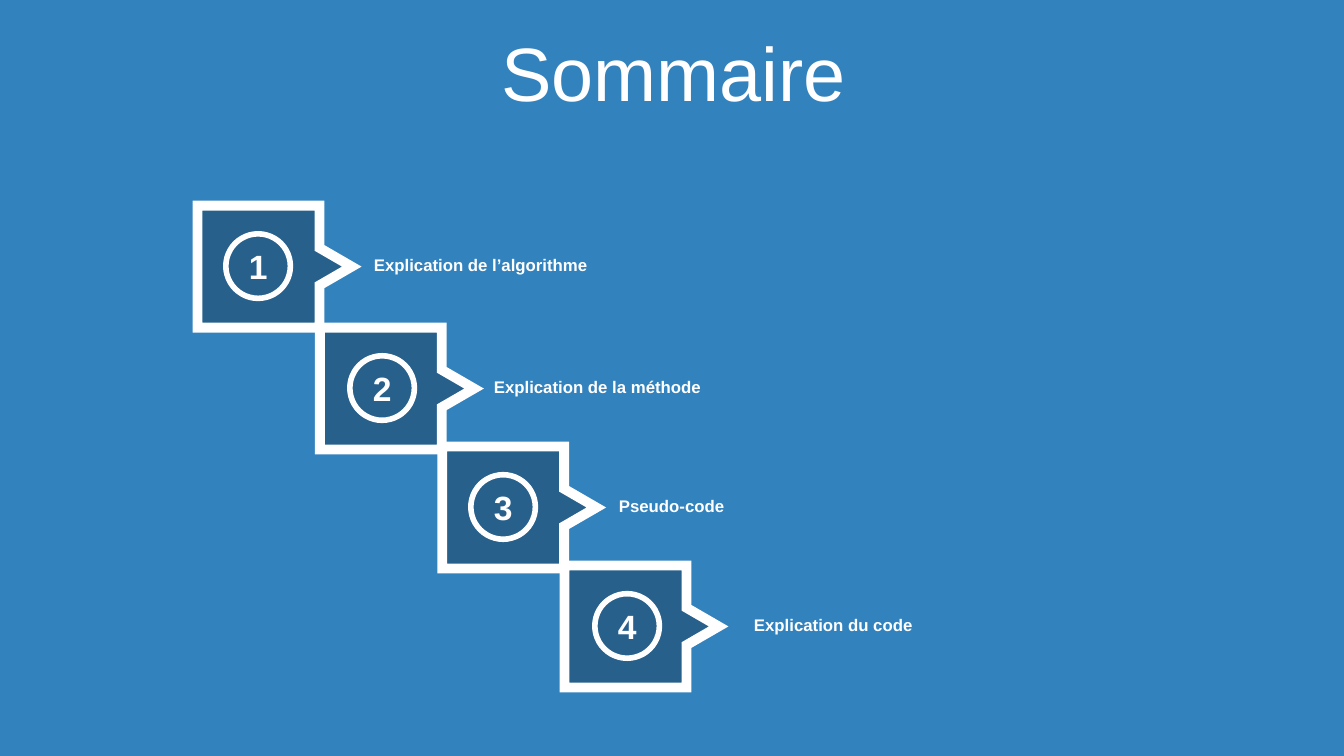
from lxml import etree
from pptx import Presentation
from pptx.dml.color import RGBColor
from pptx.enum.shapes import MSO_SHAPE as SHAPE
from pptx.enum.text import MSO_ANCHOR as ANCHOR, MSO_AUTO_SIZE as AUTOSIZE, PP_ALIGN as ALIGN
from pptx.oxml.ns import qn
from pptx.util import Inches, Pt

COLORS = {"background": "3282BE", "box": "28608C", "white": "FFFFFF"}
FONT = "Arial"
LEFT, STEP = 1.96, 1.213
SIDE, TIP = 1.21, 1.53
CIRCLE = 0.64

# number, label, box top, circle left, label left
STEPS = [
    ("1", "Explication de l’algorithme", 2.04, 2.24, 3.61),
    ("2", "Explication de la méthode", 3.25, 3.47, 4.80),
    ("3", "Pseudo-code", 4.43, 4.67, 6.04),
    ("4", "Explication du code", 5.61, 5.90, 7.38),
]


def color(name):
    return RGBColor.from_string(COLORS[name])


def write(tf, text, size=12, bold=False, align=ALIGN.LEFT):
    p = tf.paragraphs[0]
    p.alignment = align
    r = p.add_run()
    r.text = text
    r.font.name = FONT
    r.font.size = Pt(size)
    r.font.bold = bold
    r.font.color.rgb = color("white")
    return p


def add_title(s, text):
    title = s.shapes.title
    title.left, title.top = Inches(0.35), Inches(0.37)
    title.width, title.height = Inches(12.66), Inches(0.79)
    tf = title.text_frame
    tf.auto_size = AUTOSIZE.NONE
    tf.vertical_anchor = ANCHOR.MIDDLE
    p = write(tf, text, size=54, align=ALIGN.CENTER)
    p.line_spacing = 0.9
    p.space_before = Pt(10)


def add_text(s, text, x, y, w, h, wrap=True, **fmt):
    tf = s.shapes.add_textbox(Inches(x), Inches(y), Inches(w), Inches(h)).text_frame
    tf.word_wrap = wrap
    tf.auto_size = AUTOSIZE.SHAPE_TO_FIT_TEXT
    write(tf, text, **fmt)


def outline(sp, width):
    sp.shadow.inherit = False
    sp.line.color.rgb = color("white")
    sp.line.width = Pt(width)


def add_pointer_box(s, x, y):
    """Draw a square whose right side carries a small arrow tip."""
    right, bottom = x + SIDE, y + SIDE
    points = [(x, y), (right, y), (right, y + 0.42), (x + TIP, y + SIDE / 2),
              (right, y + 0.79), (right, bottom), (x, bottom)]
    points = [(Inches(px), Inches(py)) for px, py in points]
    builder = s.shapes.build_freeform(*points[0])
    builder.add_line_segments(points[1:], close=True)
    sp = builder.convert_to_shape()
    sp.fill.solid()
    sp.fill.fore_color.rgb = color("box")
    outline(sp, 7)
    miter = etree.SubElement(sp.line._get_or_add_ln(), qn("a:miter"))
    miter.set("lim", "800000")


def add_circle(s, x, y):
    sp = s.shapes.add_shape(SHAPE.OVAL, Inches(x), Inches(y), Inches(CIRCLE), Inches(CIRCLE))
    sp.fill.background()
    outline(sp, 4)


def main():
    prs = Presentation()
    prs.slide_width, prs.slide_height = Inches(13.33), Inches(7.5)
    s = prs.slides.add_slide(prs.slide_layouts[5])
    s.background.fill.solid()
    s.background.fill.fore_color.rgb = color("background")
    add_title(s, "Sommaire")
    for i, (number, label, top, circle_left, label_left) in enumerate(STEPS):
        add_pointer_box(s, LEFT + i * STEP, top)
        add_circle(s, circle_left, top + 0.28)
        add_text(s, number, circle_left + 0.13, top + 0.35, 0.37, 0.5,
                 wrap=False, size=24, bold=True)
        add_text(s, label, label_left, top + 0.44, 5.16, 0.3, bold=True)
    prs.save("out.pptx")


if __name__ == "__main__":
    main()
